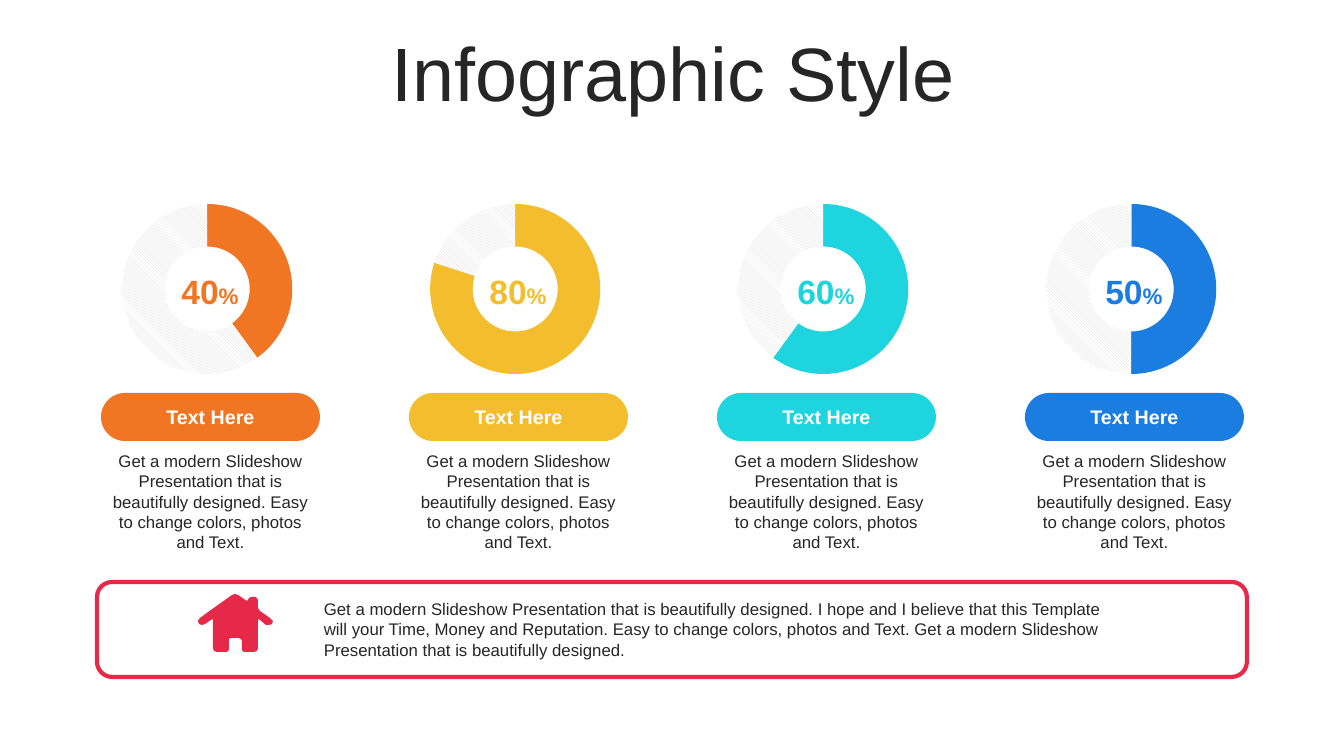
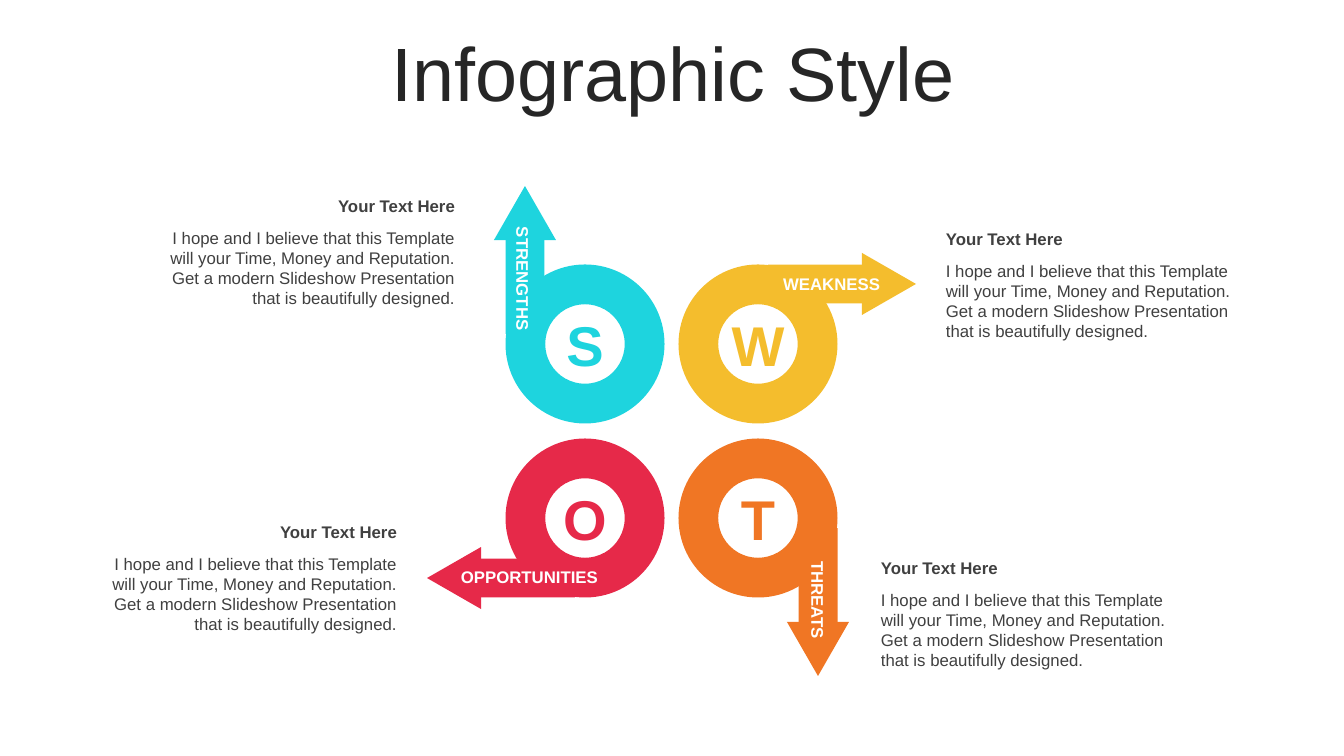
from pptx import Presentation
from pptx import util as u
from pptx.chart import data as cd
from pptx.dml import color as dml
from pptx.enum import chart as ch, dml as edml, shapes, text

PX = 914400 / 100.8
FONT = "Arial"
COLORS = {
    "orange": "F07624", "yellow": "F4BD2D", "cyan": "1ED4DE", "blue": "1C7DE1",
    "red": "E62949", "dark": "262626", "gray": "404040", "hatch": "D9D9D9", "white": "FFFFFF",
}
RGB = {name: dml.RGBColor.from_string(value) for name, value in COLORS.items()}
SHAPE = shapes.MSO_SHAPE
LEFT, CENTER, RIGHT = text.PP_ALIGN.LEFT, text.PP_ALIGN.CENTER, text.PP_ALIGN.RIGHT
MIDDLE = text.MSO_ANCHOR.MIDDLE


def add(s, kind, x, y, w, h, fill=None):
    """Add a filled preset shape, or a text box when kind is None."""
    at = [u.Emu(round(v * PX)) for v in (x, y, w, h)]
    if kind is None:
        sp = s.shapes.add_textbox(*at)
    else:
        sp = s.shapes.add_shape(kind, *at)
        sp.shadow.inherit = False
        sp.fill.solid()
        sp.fill.fore_color.rgb = RGB[fill]
        sp.line.fill.background()
    sp.text_frame.word_wrap = True
    return sp


def style(p, size, color, bold=False, align=LEFT):
    p.alignment = align
    for r in p.runs:
        r.font.name, r.font.size, r.font.bold = FONT, u.Pt(size), bold
        r.font.color.rgb = RGB[color]


prs = Presentation()
prs.slide_width, prs.slide_height = round(1344 * PX), round(756 * PX)

# Shared title position on the layout, then one titled slide per topic
layout = prs.slide_layouts[5]
title = layout.placeholders[0]
title.left, title.top, title.width, title.height = [round(v * PX) for v in (35, 37, 1276, 80)]
slides = []
for _ in range(2):
    s = prs.slides.add_slide(layout)
    tf = s.shapes.title.text_frame
    tf.text = "Infographic Style"
    tf.auto_size = text.MSO_AUTO_SIZE.NONE
    tf.vertical_anchor = MIDDLE
    tf.paragraphs[0].line_spacing = 0.9
    style(tf.paragraphs[0], 54, "dark", align=CENTER)
    slides.append(s)
donut_slide, swot_slide = slides

# Slide 1: four doughnut columns
s = donut_slide
COLUMN_STEP = 308
columns = [(40, "orange"), (80, "yellow"), (60, "cyan"), (50, "blue")]
for i, (percent, color) in enumerate(columns):
    dx = i * COLUMN_STEP
    chart_data = cd.CategoryChartData()
    chart_data.categories = ["1", "2"]
    chart_data.add_series("Series 1", (percent, 100 - percent))
    at = [u.Emu(round(v * PX)) for v in (122 + dx, 204, 174, 181)]
    chart = s.shapes.add_chart(ch.XL_CHART_TYPE.DOUGHNUT, *at, chart_data).chart
    chart.has_legend = chart.has_title = False
    chart.font.name, chart.font.size = FONT, u.Pt(18)
    plot = chart.plots[0]
    plot.vary_by_categories = True
    value, rest = [plot.series[0].points[n].format for n in range(2)]
    value.fill.solid()
    value.fill.fore_color.rgb = RGB[color]
    rest.fill.patterned()
    rest.fill.pattern = edml.MSO_PATTERN.LIGHT_DOWNWARD_DIAGONAL
    rest.fill.fore_color.rgb = RGB["hatch"]
    rest.fill.back_color.rgb = RGB["white"]
    for point in (value, rest):
        point.line.fill.background()

    # Hole size and inner plot area
    chart_xml = chart.element.chart
    chart_xml.xpath(".//c:holeSize")[0].set("val", "75")
    plot_area = chart_xml.plotArea
    for old in plot_area.xpath("./c:layout"):
        plot_area.remove(old)
    area = plot_area.makeelement(plot_area.tag.replace("plotArea", "layout"), {})
    plot_area.insert(0, area)
    manual = area.makeelement(area.tag.replace("layout", "manualLayout"), {})
    area.append(manual)
    for tag, val in [("layoutTarget", "inner"), ("xMode", "edge"), ("yMode", "edge"),
                     ("x", "0"), ("y", "0"), ("w", "0.98"), ("h", "0.94")]:
        manual.append(manual.makeelement(area.tag.replace("layout", tag), {"val": val}))

    # Percentage in the hole
    tf = add(s, None, 165 + dx, 266, 90, 50).text_frame
    tf.vertical_anchor = MIDDLE
    p = tf.paragraphs[0]
    for part in (str(percent), "%"):
        p.add_run().text = part
    style(p, 24, color, True, CENTER)
    p.runs[1].font.size = u.Pt(16)

    # Label pill and description
    pill = add(s, SHAPE.ROUNDED_RECTANGLE, 101 + dx, 393, 219, 48, color)
    pill.adjustments[0] = 0.5
    pill.text_frame.text = "Text Here"
    pill.text_frame.vertical_anchor = MIDDLE
    style(pill.text_frame.paragraphs[0], 14, "white", True, CENTER)
    tf = add(s, None, 101 + dx, 446, 219, 112).text_frame
    tf.text = ("Get a modern Slideshow Presentation that is beautifully designed. "
               "Easy to change colors, photos and Text.")
    style(tf.paragraphs[0], 12, "dark", align=CENTER)

# Summary box
frame = add(s, SHAPE.ROUNDED_RECTANGLE, 97, 582, 1150, 95, "white")
frame.adjustments[0] = 0.16
frame.line.color.rgb = RGB["red"]
frame.line.width = u.Pt(3)
tf = add(s, None, 314, 594, 813, 72).text_frame
tf.text = ("Get a modern Slideshow Presentation that is beautifully designed. I hope and I believe "
           "that this Template will your Time, Money and Reputation. Easy to change colors, photos "
           "and Text. Get a modern Slideshow Presentation that is beautifully designed.")
style(tf.paragraphs[0], 12, "dark")

# House icon
house = [
    (258, 648), (257, 651), (254, 652), (244, 652), (242, 650), (242, 641), (241, 639), (239, 638),
    (231, 638), (229, 639), (229, 650), (227, 652), (217, 652), (214, 651), (213, 648), (213, 619),
    (211, 620), (205, 624), (202, 625), (199, 624), (198, 621), (200, 618), (211, 610), (232, 595),
    (235, 594), (238, 595), (247, 601), (248, 600), (249, 598), (252, 597), (256, 597), (258, 600),
    (258, 608), (260, 611), (270, 618), (273, 621), (272, 624), (269, 625), (266, 625), (260, 620),
    (258, 619),
]
builder = s.shapes.build_freeform(*house[0], scale=PX)
builder.add_line_segments(house[1:], close=True)
icon = builder.convert_to_shape()
icon.shadow.inherit = False
icon.fill.solid()
icon.fill.fore_color.rgb = RGB["red"]
icon.line.fill.background()

# Slide 2: four rings, each with an arrow leaving along its direction
s = swot_slide
RING = 159
# letter, colour, ring centre, arrow direction, angle, label and its box, note corner
petals = [
    ("O", "red", (585, 518), (-1, 0), 180, "OPPORTUNITIES", (451, 562, 186, 30), LEFT, (78, 517)),
    ("W", "yellow", (758, 344), (1, 0), 0, "WEAKNESS", (751, 269, 139, 30), RIGHT, (936, 224)),
    ("S", "cyan", (585, 344), (0, -1), 270, "STRENGTHS", (449, 276, 148, 30), LEFT, (136, 191)),
    ("T", "orange", (758, 518), (0, 1), 90, "THREATS", (761, 577, 114, 30), RIGHT, (871, 553)),
]
for letter, color, (cx, cy), (dx, dy), angle, label, label_box, label_align, note_at in petals:
    ring = add(s, SHAPE.DONUT, cx - RING / 2, cy - RING / 2, RING, RING, color)
    tf = ring.text_frame
    tf.text = letter
    tf.vertical_anchor = MIDDLE
    style(tf.paragraphs[0], 40, color, True, CENTER)

    # Arrow shaft and head: distance along the direction, 60 px to its left
    for kind, along, w, h, turn in [(SHAPE.RECTANGLE, 58, 96, 39, 0),
                                    (SHAPE.ISOSCELES_TRIANGLE, 131, 62, 54, 90)]:
        x, y = cx + along * dx + 60 * dy, cy + along * dy - 60 * dx
        sp = add(s, kind, x - w / 2, y - h / 2, w, h, color)
        sp.rotation = (angle + turn) % 360

    # Arrow label
    sp = add(s, None, *label_box)
    sp.rotation = 90 if dy else 0
    sp.text_frame.text = label
    style(sp.text_frame.paragraphs[0], 12, "white", True, label_align)

    # Note beside the arrow
    note_align = RIGHT if cx < 672 else LEFT
    tf = add(s, None, *note_at, 329, 122).text_frame
    tf.text = "Your Text Here"
    style(tf.paragraphs[0], 12, "gray", True, note_align)
    p = tf.add_paragraph()
    p.text = ("I hope and I believe that this Template will your Time, Money and Reputation. "
              "Get a modern Slideshow Presentation that is beautifully designed.")
    p.space_before = u.Pt(8)
    style(p, 12, "gray", align=note_align)

prs.save("out.pptx")
